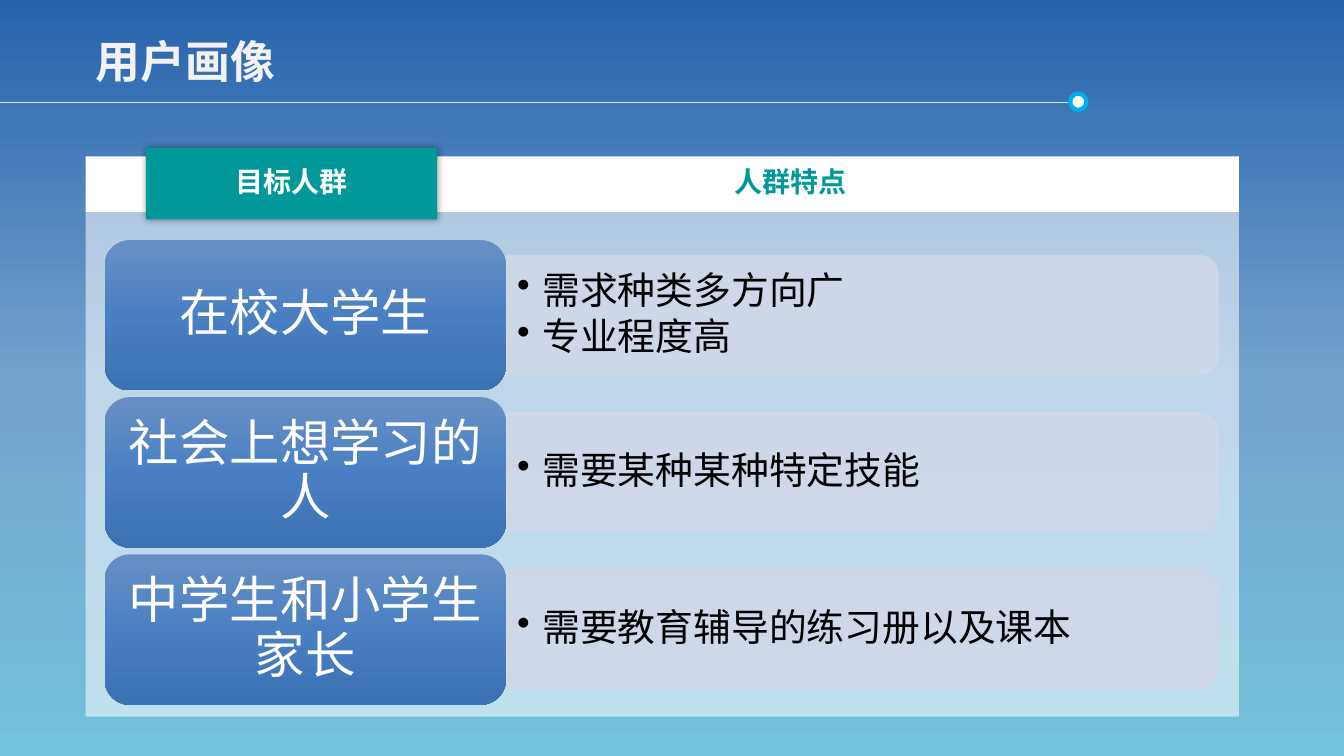
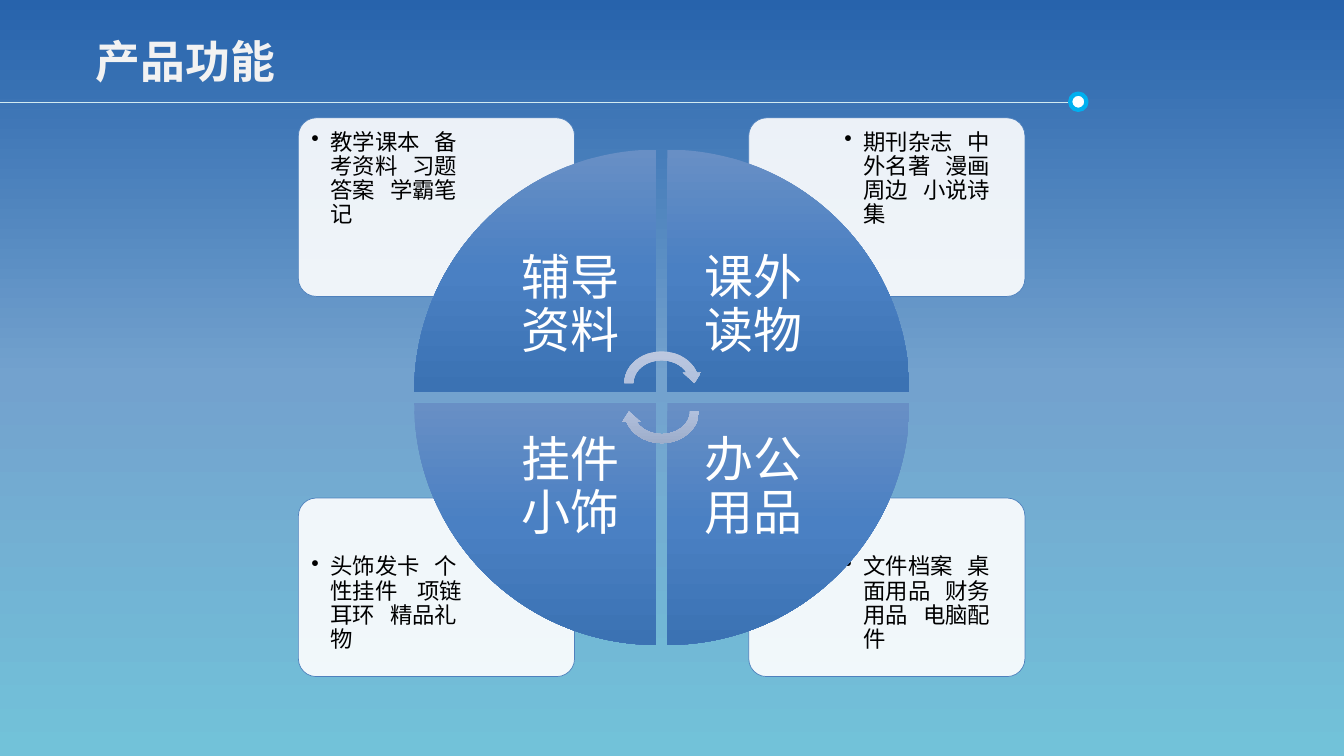
from copy import deepcopy
from itertools import product

from lxml import etree
from pptx import Presentation
from pptx.dml.color import RGBColor
from pptx.enum import shapes, text
from pptx.oxml.ns import qn
from pptx.util import Cm, Pt

WHITE = RGBColor(0xFF, 0xFF, 0xFF)
BLACK = RGBColor(0, 0, 0)
TITLE_GREY = RGBColor(0xF2, 0xF2, 0xF2)
TEAL = RGBColor(0x00, 0x98, 0x99)
RULE_BLUE = RGBColor(0xD1, 0xEA, 0xF1)
DOT_BLUE = RGBColor(0x00, 0xB0, 0xF0)
BAR_BLUE = RGBColor(0xD0, 0xD8, 0xE8)
CARD_BLUE = RGBColor(0x4F, 0x81, 0xBD)
SKY = [RGBColor(0x27, 0x63, 0xAC), RGBColor(0x73, 0xA2, 0xCE), RGBColor(0x72, 0xC2, 0xD9)]
BLUES = [RGBColor(0x68, 0x8F, 0xC5), RGBColor(0x4A, 0x80, 0xC3), RGBColor(0x3B, 0x72, 0xB3)]
GREYS = [RGBColor(0xBD, 0xC9, 0xE0), RGBColor(0xB1, 0xC0, 0xDD), RGBColor(0x9A, 0xAA, 0xC7)]
HEADING_FONT = "Noto Sans CJK SC"
BODY_FONT = "Calibri"
SHAPE = shapes.MSO_SHAPE
LEFT, CENTER = text.PP_ALIGN.LEFT, text.PP_ALIGN.CENTER
TOP, MIDDLE = text.MSO_ANCHOR.TOP, text.MSO_ANCHOR.MIDDLE


def paint(target, colours, opacity=100, line=None, width=0.5):
    fill = target.fill
    if len(colours) == 1:
        fill.solid()
        fill.fore_color.rgb = colours[0]
        if opacity < 100:
            colour = target._element.spPr.find(qn("a:solidFill"))[0]
            etree.SubElement(colour, qn("a:alpha"), val=str(opacity * 1000))
    else:
        fill.gradient()
        fill.gradient_angle = 270
        stop_list = fill.gradient_stops[0]._gs.getparent()
        stop_list.append(deepcopy(stop_list[-1]))
        stop_list.getparent().set("rotWithShape", "0")
        for index, (stop, colour) in enumerate(zip(fill.gradient_stops, colours)):
            stop.position = index / (len(colours) - 1)
            stop.color.rgb = colour
    if hasattr(target, "line"):
        target.shadow.inherit = False
        if line is None:
            target.line.fill.background()
        else:
            target.line.color.rgb = line
            target.line.width = Pt(width)


def write(shape, lines, size, colour, font=BODY_FONT, bold=False, align=CENTER,
          anchor=MIDDLE, margins=(0, 0), indent=0, spacing=0.9):
    frame = shape.text_frame
    frame.word_wrap = True
    frame.vertical_anchor = anchor
    frame.margin_left = frame.margin_right = Cm(margins[0])
    frame.margin_top = frame.margin_bottom = Cm(margins[1])
    for index, words in enumerate(lines):
        paragraph = frame.add_paragraph() if index else frame.paragraphs[0]
        paragraph.alignment = align
        paragraph.line_spacing = spacing
        paragraph.space_before = Pt(0)
        if indent:
            paragraph.space_after = Pt(size * 0.15)
            properties = paragraph._p.get_or_add_pPr()
            properties.set("marL", str(Cm(indent)))
            properties.set("indent", str(-Cm(indent)))
            etree.SubElement(properties, qn("a:buChar"), char="•")
        run = paragraph.add_run()
        run.text = words
        run.font.size = Pt(size)
        run.font.bold = bold
        run.font.color.rgb = colour
        run.font.name = font
        etree.SubElement(run._r.get_or_add_rPr(), qn("a:ea"), typeface=font)


presentation = Presentation()
presentation.slide_width = Cm(33.87)
presentation.slide_height = Cm(19.05)
paint(presentation.slide_master.background, SKY)

slides = []
for title_words in ("用户画像", "产品功能"):
    slide = presentation.slides.add_slide(presentation.slide_layouts[5])
    slides.append(slide)
    rule = slide.shapes.add_connector(
        shapes.MSO_CONNECTOR.STRAIGHT, 0, Cm(2.57), Cm(27.18), Cm(2.57))
    rule.line.color.rgb = RULE_BLUE
    rule.line.width = Pt(0.5)
    etree.SubElement(rule._element.spPr, qn("a:effectLst"))
    dot = slide.shapes.add_shape(SHAPE.OVAL, Cm(26.97), Cm(2.36), Cm(0.41), Cm(0.41))
    paint(dot, [WHITE], line=DOT_BLUE, width=3)
    title = slide.shapes.title
    title.left, title.top, title.width, title.height = Cm(2.16), Cm(0.71), Cm(5.08), Cm(1.63)
    write(title, [title_words], 32, TITLE_GREY, HEADING_FONT, True, LEFT, TOP,
          (0.25, 0.13), spacing=1.0)
    title.text_frame.word_wrap = False
    title.text_frame.auto_size = text.MSO_AUTO_SIZE.SHAPE_TO_FIT_TEXT

audience, features = slides

panel = audience.shapes.add_shape(SHAPE.RECTANGLE, Cm(2.16), Cm(5.33), Cm(29.06), Cm(12.73))
paint(panel, [WHITE], 55)
header = audience.shapes.add_shape(SHAPE.RECTANGLE, Cm(2.16), Cm(3.94), Cm(29.06), Cm(1.4))
paint(header, [WHITE])
heading = audience.shapes.add_textbox(Cm(16.51), Cm(4.24), Cm(6.81), Cm(0.79))
write(heading, ["人群特点"], 20, TEAL, HEADING_FONT, True)
tab = audience.shapes.add_shape(SHAPE.RECTANGLE, Cm(3.68), Cm(3.73), Cm(7.34), Cm(1.8))
paint(tab, [TEAL])
write(tab, ["目标人群"], 20, WHITE, HEADING_FONT, True)
shadow = etree.SubElement(tab._element.spPr.find(qn("a:effectLst")), qn("a:outerShdw"),
                          blurRad=str(Pt(5)), dist="0", dir="0", algn="ctr", rotWithShape="0")
shadow_colour = etree.SubElement(shadow, qn("a:srgbClr"), val=str(BLACK))
etree.SubElement(shadow_colour, qn("a:alpha"), val="40000")

GROUPS = [
    ("在校大学生", ["需求种类多方向广", "专业程度高"]),
    ("社会上想学习的人", ["需要某种某种特定技能"]),
    ("中学生和小学生家长", ["需要教育辅导的练习册以及课本"]),
]
PILL_HEIGHT, BAR_LEFT, BAR_LENGTH, BAR_HEIGHT = 3.79, 12.75, 17.96, 3.02
for row, (group, traits) in enumerate(GROUPS):
    top = 6.05 + 3.96 * row
    middle = top + PILL_HEIGHT / 2
    bar = audience.shapes.add_shape(
        SHAPE.ROUND_2_SAME_RECTANGLE, Cm(BAR_LEFT + (BAR_LENGTH - BAR_HEIGHT) / 2),
        Cm(middle - BAR_LENGTH / 2), Cm(BAR_HEIGHT), Cm(BAR_LENGTH))
    bar.rotation = 90
    paint(bar, [BAR_BLUE], 90, BAR_BLUE)
    trait_box = audience.shapes.add_textbox(Cm(BAR_LEFT), Cm(middle - 1.36), Cm(17.81), Cm(2.72))
    write(trait_box, traits, 27, BLACK, align=LEFT, margins=(0.28, 0.15), indent=0.64)
    pill = audience.shapes.add_shape(
        SHAPE.ROUNDED_RECTANGLE, Cm(2.64), Cm(top), Cm(10.11), Cm(PILL_HEIGHT))
    paint(pill, BLUES)
    write(pill, [group], 36, WHITE, margins=(0.38, 0.18))

FEATURES = {
    (0, 0): ("辅导资料", "教学课本   备考资料   习题答案   学霸笔记", 0),
    (0, 1): ("课外读物", "期刊杂志   中外名著   漫画周边   小说诗集", 90),
    (1, 1): ("办公用品", "文件档案   桌面用品   财务用品   电脑配件", 180),
    (1, 0): ("挂件小饰", "头饰发卡   个性挂件    项链耳环   精品礼物", 270),
}
for row, column in product((1, 0), (1, 0)):
    left, top = 7.52 + 11.35 * column, 2.97 + 9.58 * row
    card = features.shapes.add_shape(
        SHAPE.ROUNDED_RECTANGLE, Cm(left), Cm(top), Cm(6.96), Cm(4.5))
    card.adjustments[0] = 0.1
    paint(card, [WHITE], 90, CARD_BLUE)
    item_box = features.shapes.add_textbox(
        Cm(left + (0.1, 2.18)[column]), Cm(top + (0.1, 1.22)[row]), Cm(4.67), Cm(3.18))
    write(item_box, [FEATURES[row, column][1]], 16, BLACK, align=LEFT, anchor=TOP,
          margins=(0.23, 0.23), indent=0.48)

WEDGE, LABEL = 6.1, 4.32
for (row, column), (name, items, angle) in FEATURES.items():
    left, top = 10.44 + 6.38 * column, 3.77 + 6.38 * row
    wedge = features.shapes.add_shape(SHAPE.PIE_WEDGE, Cm(left), Cm(top), Cm(WEDGE), Cm(WEDGE))
    wedge.rotation = angle
    paint(wedge, BLUES)
    label = features.shapes.add_textbox(
        Cm(left + (WEDGE - LABEL) * (1 - column)), Cm(top + (WEDGE - LABEL) * (1 - row)),
        Cm(LABEL), Cm(LABEL))
    write(label, [name], 35, WHITE, margins=(0.69, 0.69))

for top, angle in ((8.74, 0), (9.45, 180)):
    arrow = features.shapes.add_shape(
        SHAPE.CIRCULAR_ARROW, Cm(15.62), Cm(top), Cm(2.11), Cm(1.83))
    arrow.rotation = angle
    paint(arrow, GREYS)

presentation.save("out.pptx")
